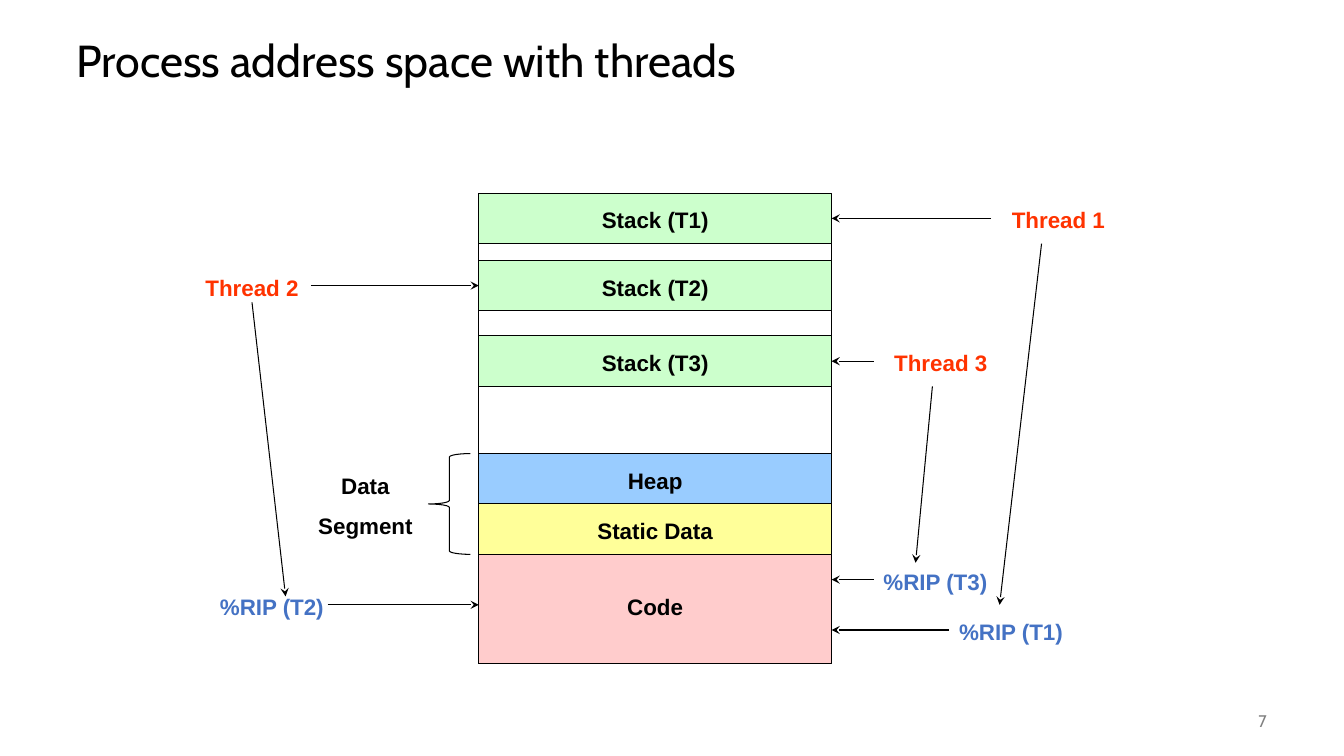
from dataclasses import dataclass

from lxml.etree import SubElement
from pptx import Presentation
from pptx.dml.color import RGBColor
from pptx.enum.shapes import MSO_CONNECTOR, MSO_SHAPE
from pptx.enum.text import MSO_ANCHOR, PP_ALIGN
from pptx.oxml.ns import qn
from pptx.util import Pt


@dataclass(frozen=True)
class Theme:
    black: str = "000000"
    grey: str = "808080"
    thread: str = "FF3300"
    pointer: str = "4472C4"
    stack: str = "CCFFCC"
    heap: str = "99CCFF"
    static: str = "FFFF99"
    code: str = "FFCCCC"
    heading_font: str = "Cabin"
    label_font: str = "Arial"
    title_size: float = 32
    label_size: float = 16
    number_size: float = 12
    line_width: float = 0.75


THEME = Theme()
MEMORY_LEFT, MEMORY_WIDTH = 342, 252
MEMORY_RIGHT = MEMORY_LEFT + MEMORY_WIDTH
MEMORY_TOP, MEMORY_HEIGHT = 138, 336
LEFT_SIDE, RIGHT_SIDE = 1, 3
LABEL_HEIGHT = 26.6

# name, top, height, fill, space above the label
SEGMENTS = [
    ("Stack (T1)", 138, 36, THEME.stack, 9.6),
    ("Stack (T2)", 186, 36, THEME.stack, 9.6),
    ("Stack (T3)", 240, 36, THEME.stack, 9.6),
    ("Heap", 324, 36, THEME.heap, 9.6),
    ("Static Data", 360, 36, THEME.static, 9.6),
    ("Code", 396, 78, THEME.code, 27.6),
]

# thread label, left, top, stack it owns, arrow start, side of the stack
THREADS = [
    ("Thread 1", 690, 144, "Stack (T1)", (708, 156), RIGHT_SIDE),
    ("Thread 2", 114, 192, "Stack (T2)", (222, 204), LEFT_SIDE),
    ("Thread 3", 606, 246, "Stack (T3)", (624, 258), RIGHT_SIDE),
]

# pointer label, left, top, arrow start, arrow end x
POINTERS = [
    ("%RIP (T1)", 678, 438, (678, 450), MEMORY_RIGHT),
    ("%RIP (T2)", 150, 420, (234, 432), MEMORY_LEFT),
    ("%RIP (T3)", 624, 402, (624, 414), MEMORY_RIGHT),
]

THREAD_TO_POINTER = [
    ((744, 174), (714, 432)),
    ((180, 216), (204, 426)),
    ((666, 276), (654, 402)),
]


def color(value):
    return RGBColor.from_string(value)


def write(frame, text, text_color=THEME.black, size=THEME.label_size,
          font=THEME.label_font, bold=True, align=PP_ALIGN.CENTER):
    frame.word_wrap = True
    frame.text = text
    for para in frame.paragraphs:
        para.alignment = align
        para.font.name = font
        para.font.size = Pt(size)
        para.font.bold = bold
        para.font.color.rgb = color(text_color)


def add_text(page, text, left, top, width, height=LABEL_HEIGHT,
             anchor=MSO_ANCHOR.TOP, **style):
    box = page.shapes.add_textbox(Pt(left), Pt(top), Pt(width), Pt(height))
    box.text_frame.vertical_anchor = anchor
    write(box.text_frame, text, **style)
    return box


def add_outlined(page, kind, left, top, width, height, fill=None):
    shape = page.shapes.add_shape(kind, Pt(left), Pt(top), Pt(width), Pt(height))
    shape.shadow.inherit = False
    shape.line.color.rgb = color(THEME.black)
    shape.line.width = Pt(THEME.line_width)
    if fill:
        shape.fill.solid()
        shape.fill.fore_color.rgb = color(fill)
    else:
        shape.fill.background()
    return shape


def add_segment(page, name, top, height, fill, label_inset):
    segment = add_outlined(page, MSO_SHAPE.RECTANGLE, MEMORY_LEFT, top,
                           MEMORY_WIDTH, height, fill)
    frame = segment.text_frame
    frame.vertical_anchor = MSO_ANCHOR.TOP
    frame.margin_top = Pt(label_inset)
    frame.margin_bottom = Pt(0)
    write(frame, name)
    return segment


def add_arrow(page, start, end):
    arrow = page.shapes.add_connector(
        MSO_CONNECTOR.STRAIGHT, *(Pt(value) for value in (*start, *end)))
    arrow.line.color.rgb = color(THEME.black)
    arrow.line.width = Pt(THEME.line_width)
    SubElement(arrow.line._get_or_add_ln(), qn("a:tailEnd"), type="stealth")
    SubElement(arrow._element.spPr, qn("a:effectLst"))
    return arrow


def add_memory(page):
    """Draw the address space and return its segments by name."""
    add_outlined(page, MSO_SHAPE.RECTANGLE, MEMORY_LEFT, MEMORY_TOP,
                 MEMORY_WIDTH, MEMORY_HEIGHT)
    return {segment[0]: add_segment(page, *segment) for segment in SEGMENTS}


def add_threads(page, segments):
    for name, left, top, stack, start, side in THREADS:
        add_text(page, name, left, top, 132, text_color=THEME.thread)
        edge = MEMORY_LEFT if side == LEFT_SIDE else MEMORY_RIGHT
        arrow = add_arrow(page, start, (edge, start[1]))
        arrow.end_connect(segments[stack], side)


def add_pointers(page):
    for name, left, top, start, edge in POINTERS:
        add_text(page, name, left, top, 96, text_color=THEME.pointer,
                 align=PP_ALIGN.LEFT)
        add_arrow(page, start, (edge, start[1]))
    for start, end in THREAD_TO_POINTER:
        add_arrow(page, start, end)


def add_data_segment(page):
    add_outlined(page, MSO_SHAPE.LEFT_BRACE, 306, 324, 30, 72)
    box = add_text(page, "Data\nSegment", 216, 334, 90, 55.4)
    box.text_frame.paragraphs[1].space_before = Pt(9)


def main():
    deck = Presentation()
    deck.slide_width, deck.slide_height = Pt(960), Pt(540)
    page = deck.slides.add_slide(deck.slide_layouts[6])

    title = add_text(page, "Process address space with threads", 47.5, 18, 864, 54,
                     anchor=MSO_ANCHOR.MIDDLE, size=THEME.title_size,
                     font=THEME.heading_font, bold=False, align=PP_ALIGN.LEFT)
    title.text_frame.paragraphs[0].line_spacing = 0.9
    add_text(page, "7", 840, 500.4, 72, 28.8, anchor=MSO_ANCHOR.MIDDLE,
             text_color=THEME.grey, size=THEME.number_size,
             font=THEME.heading_font, bold=False, align=PP_ALIGN.RIGHT)

    segments = add_memory(page)
    add_threads(page, segments)
    add_pointers(page)
    add_data_segment(page)
    deck.save("out.pptx")


if __name__ == "__main__":
    main()
